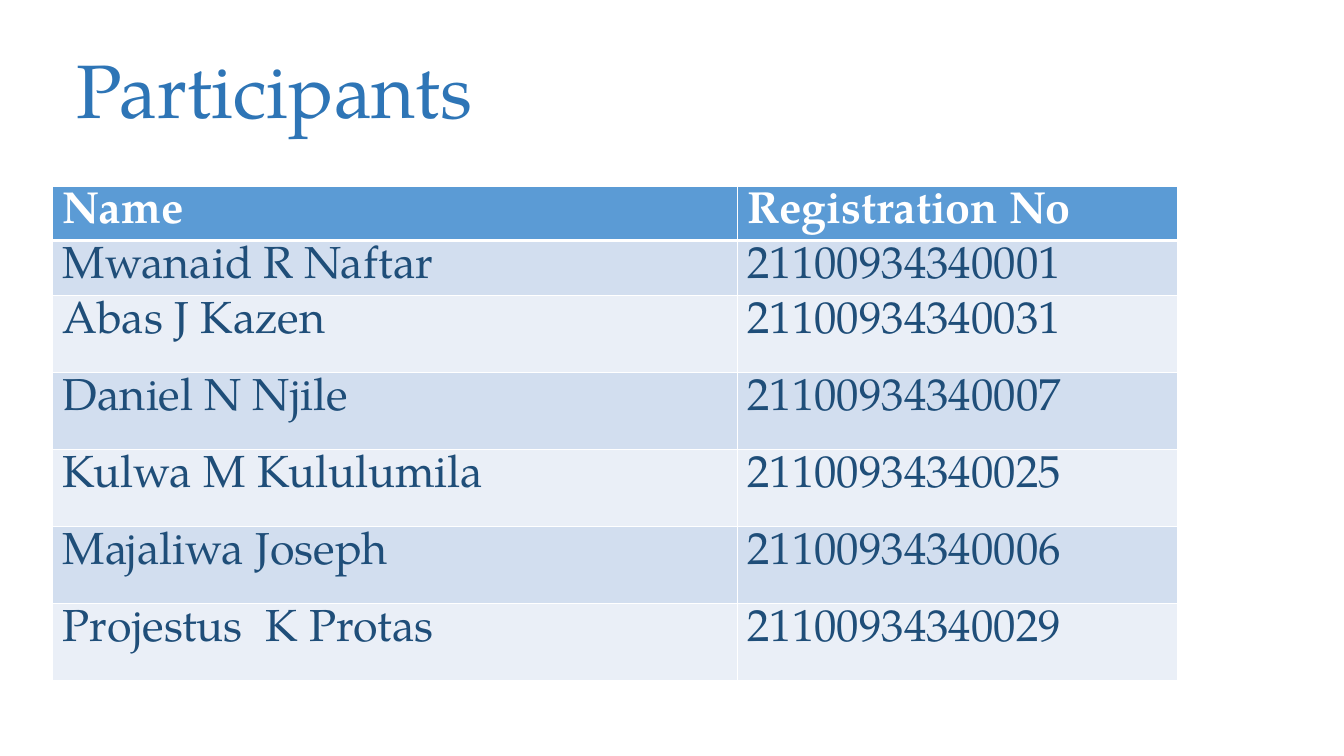
from lxml import etree
from pptx import Presentation
from pptx.dml.color import RGBColor
from pptx.enum.text import MSO_ANCHOR, PP_ALIGN
from pptx.oxml.ns import qn
from pptx.util import Cm, Pt

MIDDLE = MSO_ANCHOR.MIDDLE
TOP = MSO_ANCHOR.TOP
LEFT = PP_ALIGN.LEFT
TITLE_ONLY = 5

PARTICIPANTS = [
    ("Name", "Registration No"),
    ("Mwanaid R Naftar", "21100934340001"),
    ("Abas J Kazen", "21100934340031"),
    ("Daniel N Njile", "21100934340007"),
    ("Kulwa M Kululumila", "21100934340025"),
    ("Majaliwa Joseph", "21100934340006"),
    ("Projestus  K Protas", "21100934340029"),
]


def rgb(value):
    return RGBColor.from_string(value)


class Deck:
    font = "TeX Gyre Pagella"
    title_color = "2E75B6"
    header_fill = "5B9BD5"
    band_fills = ("D2DEEF", "EAEFF7")
    text_color = "1F4E79"
    white = "FFFFFF"

    def __init__(self, prs):
        self.slide = prs.slides.add_slide(prs.slide_layouts[TITLE_ONLY])

    def add_run(self, p, text, size, color, bold=False):
        p.alignment = LEFT
        r = p.add_run()
        r.text = text
        r.font.name = self.font
        r.font.size = Pt(size)
        r.font.bold = bold
        r.font.color.rgb = rgb(color)

    def title(self, text, left, top, width, height):
        sp = self.slide.shapes.title
        sp.left, sp.top = Cm(left), Cm(top)
        sp.width, sp.height = Cm(width), Cm(height)
        tf = sp.text_frame
        tf.word_wrap = True
        tf.vertical_anchor = MIDDLE
        p = tf.paragraphs[0]
        p.line_spacing = 0.9
        self.add_run(p, text, 54, self.title_color)

    def borders(self, cell, top, bottom):
        """Draw white cell borders; top and bottom widths are in points."""
        tc_pr = cell._tc.get_or_add_tcPr()
        for side, width in (("L", 1), ("R", 1), ("T", top), ("B", bottom)):
            ln = etree.SubElement(tc_pr, qn(f"a:ln{side}"), w=str(Pt(width)))
            fill = etree.SubElement(ln, qn("a:solidFill"))
            etree.SubElement(fill, qn("a:srgbClr"), val=self.white)

    def cell(self, cell, text, row):
        is_header = row == 0
        self.borders(cell, 3 if row == 1 else 1, 3 if is_header else 1)
        cell.fill.solid()
        fill = self.header_fill if is_header else self.band_fills[(row - 1) % 2]
        cell.fill.fore_color.rgb = rgb(fill)
        cell.vertical_anchor = TOP
        color = self.white if is_header else self.text_color
        self.add_run(cell.text_frame.paragraphs[0], text, 32, color, is_header)

    def table(self, rows, left, top, widths, heights):
        frame = self.slide.shapes.add_table(
            len(rows), len(widths), Cm(left), Cm(top),
            Cm(sum(widths)), Cm(sum(heights)))
        table = frame.table
        for column, width in zip(table.columns, widths):
            column.width = Cm(width)
        for i, (values, height) in enumerate(zip(rows, heights)):
            table.rows[i].height = Cm(height)
            for j, text in enumerate(values):
                self.cell(table.cell(i, j), text, i)


def main():
    prs = Presentation()
    prs.slide_width, prs.slide_height = Cm(33.87), Cm(19.05)
    deck = Deck(prs)
    deck.title("Participants", 1.68, 1.02, 29.87, 2.69)
    deck.table(PARTICIPANTS, 1.33, 4.7, (17.25, 11.1),
               [1.04] * 2 + [1.94] * 5)
    prs.save("out.pptx")


if __name__ == "__main__":
    main()
